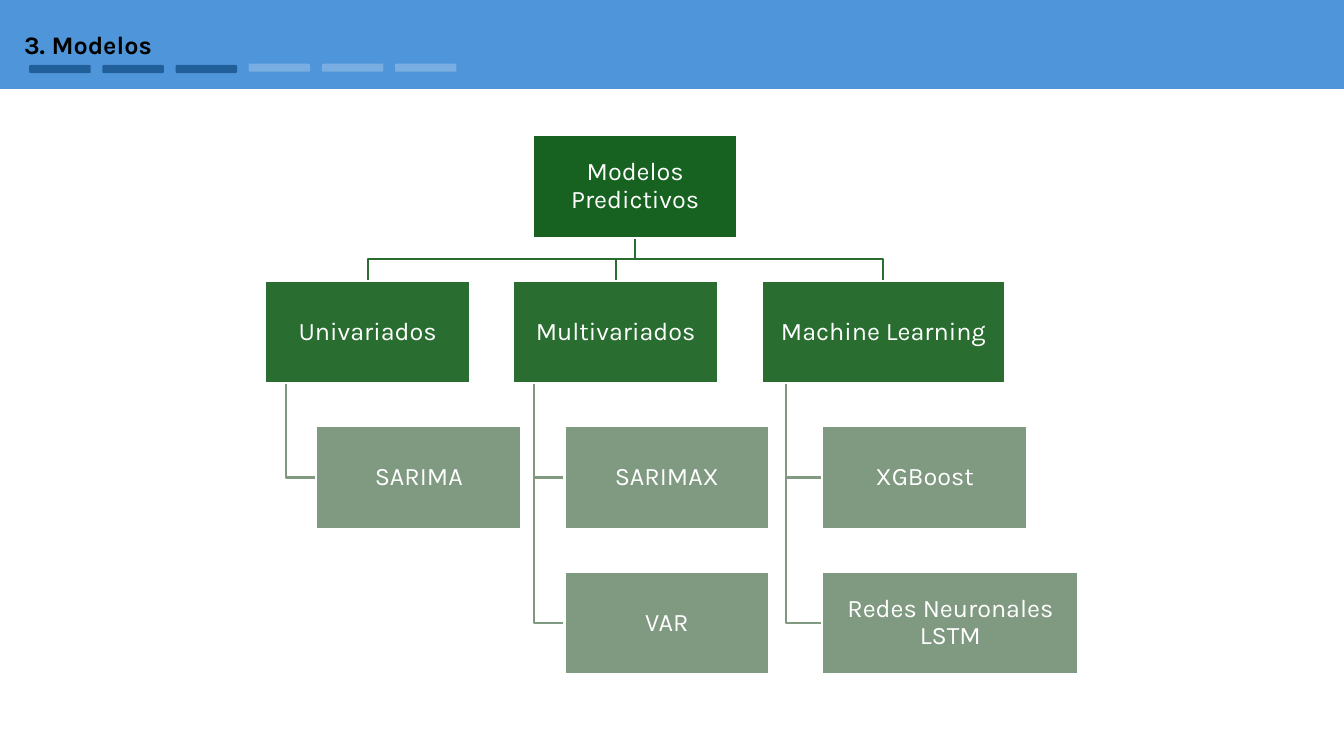
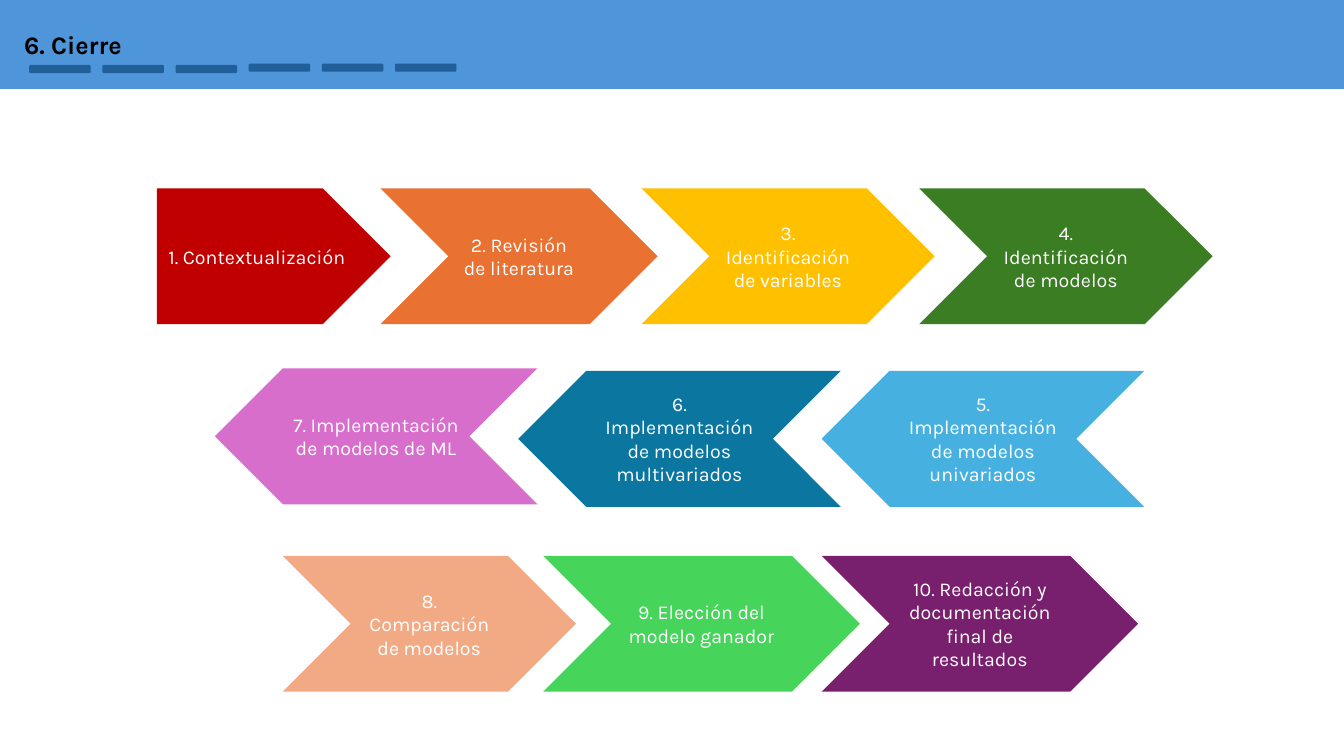
from pptx import Presentation
from pptx.dml.color import RGBColor
from pptx.enum.shapes import MSO_SHAPE
from pptx.enum.text import MSO_ANCHOR, MSO_AUTO_SIZE, PP_ALIGN
from pptx.oxml.ns import qn
from pptx.util import Pt

BAND, DONE, TODO = "4E95D9", "215F9A", "7AAEE2"
ROOT, GROUP, LEAF = "176121", "296E30", "809981"
WHITE, BLACK = "FFFFFF", "000000"
TABS = 6

NODE = (146.2, 73.4)
TREE = [
    ("Univariados", 146.2, [("SARIMA", 146.2)]),
    ("Multivariados", 146.2, [("SARIMAX", 146.2), ("VAR", 146.2)]),
    ("Machine Learning", 174.2,
     [("XGBoost", 146.2), ("Redes Neuronales LSTM", 182.9)]),
]

PLATE, ARROW = MSO_SHAPE.PENTAGON, MSO_SHAPE.CHEVRON
FLOW = [
    ("1. Contextualización", "C00000", PLATE, 0, 0, 167, False),
    ("2. Revisión de literatura", "E97132", ARROW, 159.7, 0, 198, False),
    ("3. Identificación de variables", "FFC000", ARROW, 346, 0, 209.5, False),
    ("4. Identificación de modelos", "3B7D23", ARROW, 544.5, 0, 209.5, False),
    ("5. Implementación de modelos univariados", "46B1E1", ARROW,
     474.8, 130.4, 230.4, True),
    ("6. Implementación de modelos multivariados", "0B76A0", ARROW,
     258.1, 130.4, 230.4, True),
    ("7. Implementación de modelos de ML", "D86ECC", ARROW,
     41.4, 128.6, 230.4, True),
    ("8. Comparación de modelos", "F2AA84", ARROW, 89.8, 262.5, 209.5, False),
    ("9. Elección del modelo ganador", "47D45A", ARROW,
     276, 262.5, 226.1, False),
    ("10. Redacción y documentación final de resultados", "78206E", ARROW,
     474.8, 262.5, 226.1, False),
]


def tint(code):
    return RGBColor.from_string(code)


def put(item, vals):
    for name, val in vals.items():
        setattr(item, name, val)


def write(shape, text, size, ink=WHITE, bold=False, frame=None, para=None):
    box = shape.text_frame
    box.text = text
    put(box, {"word_wrap": True, "vertical_anchor": MSO_ANCHOR.MIDDLE,
              **(frame or {})})
    line = box.paragraphs[0]
    put(line, {"alignment": PP_ALIGN.CENTER, **(para or {})})
    put(line.font, {"name": "Karla", "size": Pt(size), "bold": bold})
    line.font.color.rgb = tint(ink)


def edge(shape, ink):
    shape.line.color.rgb = tint(ink)
    shape.line.width = Pt(1.5)


def block(slide, kind, x, y, w, h, fill, rim=None):
    shape = slide.shapes.add_shape(kind, Pt(x), Pt(y), Pt(w), Pt(h))
    shape.shadow.inherit = False
    shape.fill.solid()
    shape.fill.fore_color.rgb = tint(fill)
    if rim:
        edge(shape, rim)
    else:
        shape.line.fill.background()
    return shape


def link(slide, ink, back, *spots):
    first, *rest = [(Pt(x), Pt(y)) for x, y in spots]
    pen = slide.shapes.build_freeform(*first)
    pen.add_line_segments(rest, close=False)
    bend = pen.convert_to_shape()
    bend.shadow.inherit = False
    bend.fill.background()
    edge(bend, ink)
    back.element.addprevious(bend.element)


def header(deck, text, done):
    slide = deck.slides.add_slide(deck.slide_layouts[5])
    title = slide.shapes.title
    put(title, {"left": Pt(10), "top": Pt(17.3),
                "width": Pt(154.8), "height": Pt(29)})
    write(title, text, 18, BLACK, True,
          {"vertical_anchor": MSO_ANCHOR.TOP, "auto_size": MSO_AUTO_SIZE.NONE},
          {"alignment": PP_ALIGN.LEFT})
    band = block(slide, MSO_SHAPE.RECTANGLE, 0, 0, 960, 63.6, BAND)
    title.element.addprevious(band.element)
    for i in range(TABS):
        block(slide, MSO_SHAPE.ROUNDED_RECTANGLE, 20.9 + 52.25 * i,
              46.4 if i < TABS / 2 else 45.4, 43.9, 5.8,
              DONE if i < done else TODO)
    return slide


def node(slide, text, x, y, w, fill):
    shape = block(slide, MSO_SHAPE.RECTANGLE, x, y, w, NODE[1], fill, WHITE)
    pad = {"margin_" + side: Pt(0.9)
           for side in ("left", "top", "right", "bottom")}
    write(shape, text, 18, frame=pad, para={"line_spacing": 0.9})
    return shape


def tree(slide, x, y, w):
    wide, high = NODE
    step, col = 104, 177.2
    mid, bar = x + w / 2, y + (high + step) / 2
    root = node(slide, "Modelos Predictivos", mid - wide / 2, y, wide, ROOT)
    for i, (text, span, leaves) in enumerate(TREE):
        left, top = x + col * i, y + step
        node(slide, text, left, top, span, GROUP)
        spot, stem, side = left + span / 2, left + span * 0.1, left + span / 4
        link(slide, GROUP, root,
             (mid, y + high), (mid, bar), (spot, bar), (spot, top))
        for j, (name, size) in enumerate(leaves, 1):
            row = top + step * j
            foot = row + high / 2
            node(slide, name, side, row, size, LEAF)
            link(slide, LEAF, root,
                 (stem, top + high), (stem, foot), (side, foot))


def flow(slide, x, y):
    for text, fill, kind, dx, dy, w, flip in FLOW:
        step = block(slide, kind, x + dx, y + dy, w, 97.1, fill)
        if flip:
            step.element.spPr.find(qn("a:xfrm")).set("flipH", "1")
        write(step, text, 14)


def main():
    deck = Presentation()
    put(deck, {"slide_width": Pt(960), "slide_height": Pt(540)})
    tree(header(deck, "3. Modelos", 3), 189.5, 96.4, 528.5)
    flow(header(deck, "6. Cierre", TABS), 112.1, 134.5)
    deck.save("out.pptx")


if __name__ == "__main__":
    main()
